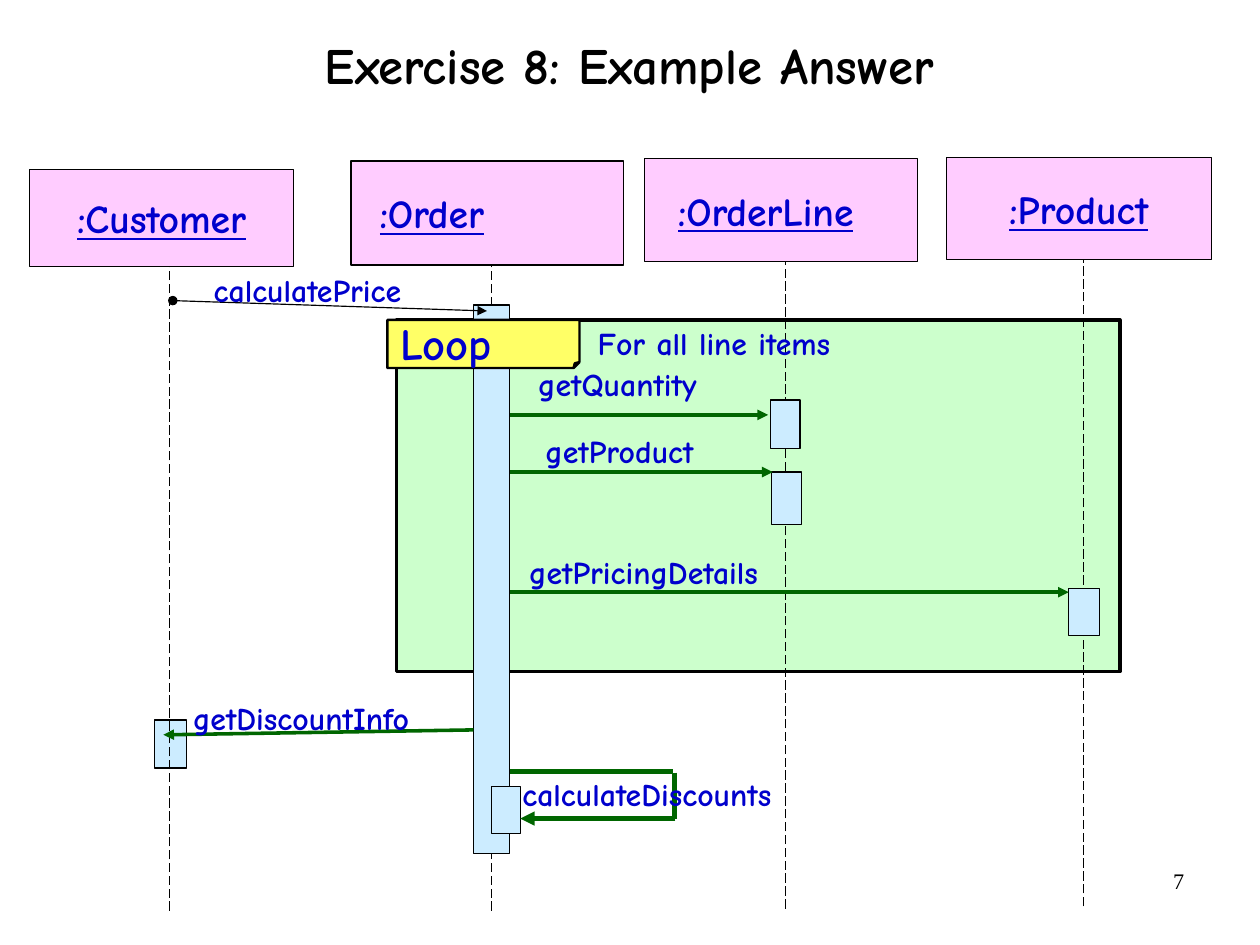
import pptx
import pptx.util
import pptx.dml.color
import pptx.enum.dml
import pptx.enum.shapes
import pptx.enum.text
import pptx.oxml.ns
from lxml import etree

Cm, Pt = pptx.util.Cm, pptx.util.Pt
RGBColor = pptx.dml.color.RGBColor
PRESET = pptx.enum.shapes.MSO_SHAPE
ALIGN = pptx.enum.text.PP_ALIGN
ANCHOR = pptx.enum.text.MSO_ANCHOR

BLACK = RGBColor(0x00, 0x00, 0x00)
BLUE = RGBColor(0x00, 0x00, 0xCC)
GREEN = RGBColor(0x00, 0x66, 0x00)
PINK = RGBColor(0xFF, 0xCC, 0xFF)
PALE_BLUE = RGBColor(0xCC, 0xEC, 0xFF)
PALE_GREEN = RGBColor(0xCC, 0xFF, 0xCC)
YELLOW = RGBColor(0xFF, 0xFF, 0x66)
HAND_FONT = "Comic Neue"

presentation = pptx.Presentation()
presentation.slide_width, presentation.slide_height = Cm(28), Cm(21)
slide = presentation.slides.add_slide(presentation.slide_layouts[6])


def add_box(place, fill, width=0.75, preset=PRESET.RECTANGLE):
    box = slide.shapes.add_shape(preset, *map(Cm, place))
    box.shadow.inherit = False
    box.fill.solid()
    box.fill.fore_color.rgb = fill
    box.line.color.rgb = BLACK
    box.line.width = Pt(width)
    return box


def add_line(ends, color, width, dash=None, head=None, tail=None):
    """Draw a straight line; head and tail are the end marks at its start and end."""
    line = slide.shapes.add_connector(pptx.enum.shapes.MSO_CONNECTOR.STRAIGHT, *map(Cm, ends))
    line.line.color.rgb = color
    line.line.width = Pt(width)
    if dash:
        line.line.dash_style = dash
    properties = line._element.spPr
    outline = properties.find(pptx.oxml.ns.qn("a:ln"))
    for tag, mark in (("a:headEnd", head), ("a:tailEnd", tail)):
        if mark:
            etree.SubElement(outline, pptx.oxml.ns.qn(tag), type=mark)
    etree.SubElement(properties, pptx.oxml.ns.qn("a:effectLst"))


# Loop frame and the activation behind the customer's lifeline
add_box((3.43, 16, 0.71, 1.07), PALE_BLUE)
add_box((8.81, 7.11, 16.08, 7.82), PALE_GREEN, 2)

# Participants: name, header place, lifeline x and end, alignment, left inset
participants = [
    (":Order", (7.8, 3.58, 6.05, 2.31), 10.92, 20.24, ALIGN.LEFT, 0.64),
    (":OrderLine", (14.33, 3.53, 6.07, 2.29), 17.45, 20.19, ALIGN.LEFT, 0.74),
    (":Product", (21.03, 3.51, 5.89, 2.26), 24.08, 20.14, ALIGN.CENTER, 0.28),
    (":Customer", (0.66, 3.76, 5.87, 2.16), 3.76, 20.24, ALIGN.CENTER, 0.28),
]
# Texts: shape, text, size, font, colour, alignment, anchor, left inset
texts = []
for name, place, lifeline_x, lifeline_end, alignment, inset in participants:
    header = add_box(place, PINK)
    texts.append((header, name, 25, HAND_FONT, BLUE, alignment, ANCHOR.MIDDLE, inset))
    add_line((lifeline_x, lifeline_end, lifeline_x, place[1] + place[3]), BLACK, 0.75,
             pptx.enum.dml.MSO_LINE.LONG_DASH)

activations = [
    (10.52, 6.78, 0.81, 12.19),
    (10.92, 17.48, 0.64, 1.04),
    (17.12, 8.89, 0.66, 1.07),
    (17.15, 10.49, 0.66, 1.17),
    (23.75, 13.08, 0.69, 1.04),
]
for place in activations:
    add_box(place, PALE_BLUE)

# Messages
add_line((3.84, 6.68, 10.82, 6.91), BLACK, 0.75, head="oval", tail="triangle")
calls = [
    (11.33, 9.22, 17.07, 9.22),
    (11.33, 10.49, 17.17, 10.49),
    (11.33, 13.16, 23.75, 13.16),
    (10.52, 16.22, 3.63, 16.33),
]
for ends in calls:
    add_line(ends, GREEN, 2.25, tail="triangle")
add_line((11.33, 17.15, 14.96, 17.15), GREEN, 3)
add_line((14.99, 17.17, 14.99, 18.19), GREEN, 3)
add_line((15.01, 18.19, 11.56, 18.19), GREEN, 3, tail="triangle")

loop_tag = add_box((8.61, 7.11, 4.27, 1.07), YELLOW, 1.5, PRESET.FOLDED_CORNER)
tag_geometry = loop_tag._element.spPr.find(pptx.oxml.ns.qn("a:prstGeom"))
fold_values = tag_geometry.find(pptx.oxml.ns.qn("a:avLst"))
etree.SubElement(fold_values, pptx.oxml.ns.qn("a:gd"), name="adj", fmla="val 12500")
texts.append((loop_tag, "Loop", 28, HAND_FONT, BLUE, ALIGN.LEFT, ANCHOR.TOP, 0.28))

labels = [
    ("calculatePrice", 4.47, 5.87, 5.84),
    ("getQuantity", 11.68, 7.95, 5.84),
    ("getProduct", 11.84, 9.45, 5.84),
    ("getPricingDetails", 11.48, 12.14, 6.3),
    ("calculateDiscounts", 11.33, 17.07, 6.81),
    ("getDiscountInfo", 4.01, 15.37, 6.81),
    ("For all line items", 13, 7.04, 9.58),
]
for wording, left, top, width in labels:
    label = slide.shapes.add_textbox(Cm(left), Cm(top), Cm(width), Cm(1.12))
    texts.append((label, wording, 20, HAND_FONT, BLUE, ALIGN.LEFT, ANCHOR.TOP, 0.28))

title = slide.shapes.add_textbox(Cm(2.06), Cm(0.51), Cm(23.88), Cm(2.03))
page_number = slide.shapes.add_textbox(Cm(20.07), Cm(19.13), Cm(6.53), Cm(1.45))
texts += [
    (title, "Exercise 8: Example Answer", 32, HAND_FONT, BLACK, ALIGN.CENTER, ANCHOR.MIDDLE, 0.28),
    (page_number, "7", 14, "Times New Roman", BLACK, ALIGN.RIGHT, ANCHOR.TOP, 0.28),
]

participant_names = [participant[0] for participant in participants]
for shape, wording, size, font_name, color, alignment, anchor, inset in texts:
    frame = shape.text_frame
    frame.text = wording
    frame.word_wrap = True
    frame.vertical_anchor = anchor
    frame.margin_left, frame.margin_right = Cm(inset), Cm(0.28)
    frame.margin_top = frame.margin_bottom = Cm(0.15)
    paragraph = frame.paragraphs[0]
    paragraph.alignment = alignment
    font = paragraph.runs[0].font
    font.name = font_name
    font.size = Pt(size)
    font.bold = font_name == HAND_FONT
    font.underline = wording in participant_names
    font.color.rgb = color
title.text_frame.paragraphs[0].line_spacing = 0.88
loop_tag.text_frame.paragraphs[0].line_spacing = 0.8

presentation.save("out.pptx")
